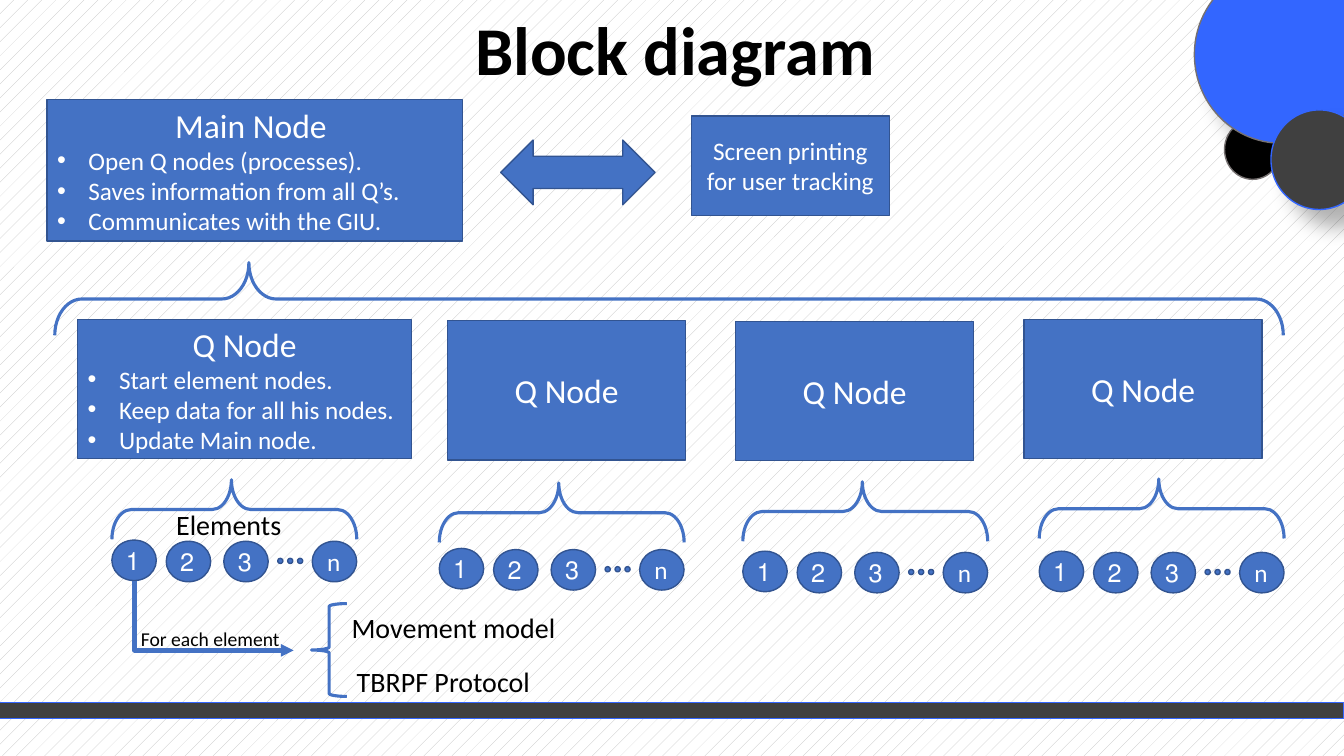
from lxml import etree
from pptx import Presentation
from pptx.dml.color import RGBColor
from pptx.enum.dml import MSO_PATTERN
from pptx.enum.shapes import MSO_CONNECTOR, MSO_SHAPE as Kind
from pptx.enum.text import MSO_ANCHOR as Anchor, MSO_AUTO_SIZE as AutoSize, PP_ALIGN as Align
from pptx.oxml import parse_xml
from pptx.oxml.ns import nsdecls, qn
from pptx.util import Cm, Pt

# Content: places are left, top, width, height in cm
COLORS = {"blue": "4472C4", "edge": "325491", "white": "FFFFFF", "black": "000000",
          "dark": "404040", "bright": "3366FF", "grey": "767171", "pattern": "BFBFBF"}
FONT = "Calibri"
TITLE = "Block diagram"
BLOCKS = [
    ((1.19, 2.51, 10.46, 3.56), "Main Node ",
     ["Open Q nodes (processes).", "Saves information from all Q’s.", "Communicates with the GIU."]),
    ((1.96, 8.05, 8.41, 3.51), "Q Node",
     ["Start element nodes.", "Keep data for all his nodes.", "Update Main node."]),
    ((11.28, 8.08, 6, 3.51), "Q Node", []),
    ((18.54, 8.1, 6, 3.51), "Q Node", []),
    ((25.81, 8.05, 6, 3.51), "Q Node", []),
]
SCREEN = ((17.42, 2.92, 5, 2.51), "Screen printing for user tracking")
ELEMENT_ROWS = [  # left, top of the circles, top of the brace
    (2.82, 13.61, 12.09), (11.07, 13.82, 12.17), (18.72, 13.89, 12.14), (26.19, 13.89, 12.07)]
ELEMENTS = [("1", 0, 0), ("2", 1.37, 0.03), ("3", 2.82, 0.03), ("n", 5.05, 0.03)]
LABELS = [
    ((8.61, 15.27, 5.66, 1.12), "Movement model", 20),
    ((8.74, 16.61, 5, 1.12), "TBRPF Protocol", 20),
    ((4.19, 12.67, 3.2, 1.12), "Elements", 20),
    ((3.3, 15.67, 4.04, 0.86), "For each element", 14),
]
CORNER_CIRCLES = [  # place, fill, line, has a shadow
    ((30.86, 3.02, 1.42, 1.5), "black", "grey", False),
    ((30.1, -0.86, 4.37, 4.47), "bright", "grey", True),
    ((32.03, 2.77, 2.44, 2.51), "dark", "bright", True),
]

deck = Presentation()
deck.slide_width, deck.slide_height = Cm(33.87), Cm(19.05)
page = deck.slides.add_slide(deck.slide_layouts[5])


def color(name):
    return RGBColor.from_string(COLORS[name])


def write(para, text, size=18, ink="white", bold=False, align=Align.CENTER, bullet=False, rtl=False):
    span = para.add_run()
    span.text = text
    span.font.name, span.font.size, span.font.bold = FONT, Pt(size), bold
    span.font.color.rgb = color(ink)
    para.alignment = align
    props = para._p.get_or_add_pPr()
    if rtl:
        props.set("rtl", "1")
    if bullet:
        props.set("marL", str(Cm(0.79)))
        props.set("indent", str(-Cm(0.79)))
        etree.SubElement(props, qn("a:buFont")).set("typeface", "Arial")
        etree.SubElement(props, qn("a:buChar")).set("char", "•")


def draw(kind, place, fill="blue", line="edge", width=1):
    shape = page.shapes.add_shape(kind, *map(Cm, place))
    shape.shadow.inherit = False
    if fill:
        shape.fill.solid()
        shape.fill.fore_color.rgb = color(fill)
    else:
        shape.fill.background()
    shape.line.color.rgb = color(line)
    shape.line.width = Pt(width)
    shape.text_frame.vertical_anchor = Anchor.MIDDLE
    return shape


def draw_top_brace(left, top, width, height, curve, tip):
    """A left brace turned to point up, placed by its visible bounds."""
    shift = (width - height) / 2
    brace = draw(Kind.LEFT_BRACE, (left + shift, top - shift, height, width), None, "blue", 2.25)
    brace.rotation = 90
    brace.adjustments[0], brace.adjustments[1] = curve, tip


# Background and title
page.background.fill.patterned()
page.background.fill.pattern = MSO_PATTERN.PERCENT_5
page.background.fill.fore_color.rgb = color("pattern")
page.background.fill.back_color.rgb = color("white")
title = page.shapes.title
title.left, title.top, title.width, title.height = map(Cm, (4.32, 0.1, 25.4, 2.51))
title.text_frame.auto_size = AutoSize.NONE
title.text_frame.vertical_anchor = Anchor.MIDDLE
title.text_frame.paragraphs[0].line_spacing = 0.9
write(title.text_frame.paragraphs[0], TITLE, size=48.8, ink="black", bold=True)

# Bottom bar
draw(Kind.RECTANGLE, (-0.05, 17.7, 33.91, 0.41), "dark", "bright", 0.5)

# Node blocks
for place, heading, points in BLOCKS:
    frame = draw(Kind.RECTANGLE, place).text_frame
    write(frame.paragraphs[0], heading, size=24)
    for point in points:
        write(frame.add_paragraph(), point, align=Align.LEFT, bullet=True)

# Rows of elements under each Q node
for left, top, brace_top in ELEMENT_ROWS:
    draw_top_brace(left, brace_top, 6.17, 1.5, 0.325, 0.512)
    for text, across, down in ELEMENTS:
        circle = draw(Kind.OVAL, (left + across, top + down, 1.12, 1.02))
        write(circle.text_frame.paragraphs[0], text, rtl=True)
    for step in range(3):
        draw(Kind.OVAL, (left + 4.18 + 0.25 * step, top + 0.46, 0.13, 0.13))

# Arrow from the first element to its parts
arrow = page.shapes.add_connector(MSO_CONNECTOR.ELBOW, Cm(6.27), Cm(13.51), Cm(4.52), Cm(17.52))
arrow.line.color.rgb = color("blue")
arrow.line.width = Pt(3)
arrow_props = arrow._element.spPr
arrow_props.find(qn("a:xfrm")).set("rot", str(270 * 60000))
arrow_props.find(qn("a:prstGeom")).set("prst", "bentConnector2")
etree.SubElement(arrow_props.find(qn("a:ln")), qn("a:tailEnd")).set("type", "triangle")
etree.SubElement(arrow_props, qn("a:effectLst"))
draw(Kind.LEFT_BRACE, (7.85, 15.21, 0.89, 2.34), None, "blue", 2.25)

# Labels
for place, text, size in LABELS:
    frame = page.shapes.add_textbox(*map(Cm, place)).text_frame
    frame.word_wrap = False
    write(frame.paragraphs[0], text, size=size, ink="black", align=Align.LEFT)

# Main brace, screen block and the arrow between
draw_top_brace(1.38, 6.62, 30.96, 1.83, 0.374, 0.842)
draw(Kind.LEFT_RIGHT_ARROW, (12.62, 3.53, 3.89, 1.63))
screen_frame = draw(Kind.RECTANGLE, SCREEN[0]).text_frame
screen_frame.word_wrap = True
write(screen_frame.paragraphs[0], SCREEN[1])

# Corner circles
for place, fill, line, has_shadow in CORNER_CIRCLES:
    circle = draw(Kind.OVAL, place, fill, line)
    if has_shadow:
        circle._element.spPr.find(qn("a:effectLst")).append(parse_xml(
            f'<a:outerShdw {nsdecls("a")} blurRad="{Pt(15)}" dist="{Pt(18)}" dir="{45 * 60000}">'
            f'<a:srgbClr val="{COLORS["black"]}"><a:alpha val="30000"/></a:srgbClr></a:outerShdw>'))

deck.save("out.pptx")
